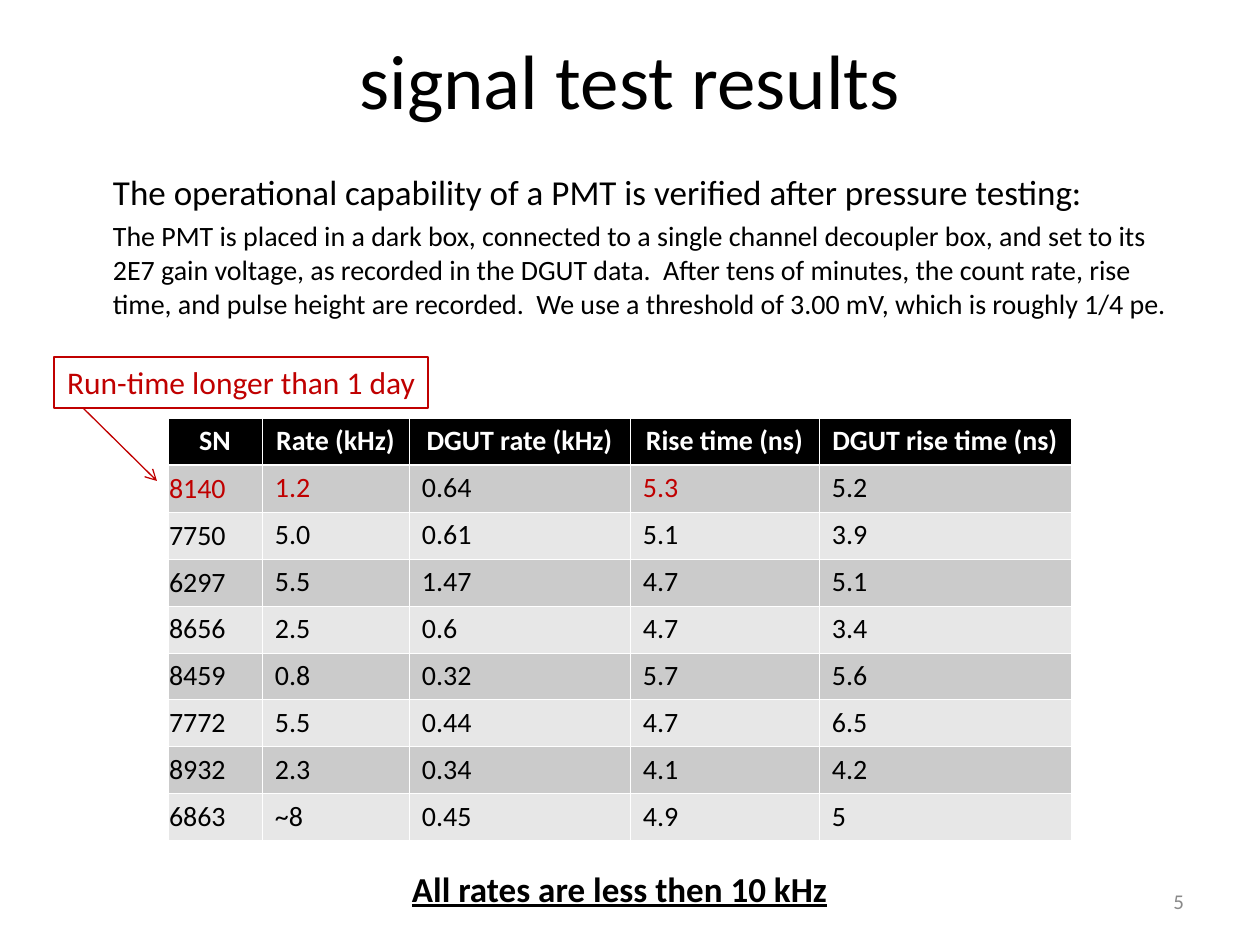
import pptx
import pptx.dml.color
import pptx.enum.shapes
import pptx.enum.text
import pptx.oxml
import pptx.oxml.ns
import pptx.util

SCALE = 914400 / 126  # EMU per px
HUES = {"black": "000000", "white": "FFFFFF", "red": "C00000",
        "gray": "898989", "dark": "CBCBCB", "light": "E7E7E7"}
ALIGN = pptx.enum.text.PP_ALIGN
ANCHOR = pptx.enum.text.MSO_ANCHOR
qn = pptx.oxml.ns.qn

HEAD = ["SN", "Rate (kHz)", "DGUT rate (kHz)", "Rise time (ns)", "DGUT rise time (ns)"]
ROWS = [
    ["8140", "1.2", "0.64", "5.3", "5.2"],
    ["7750", "5.0", "0.61", "5.1", "3.9"],
    ["6297", "5.5", "1.47", "4.7", "5.1"],
    ["8656", "2.5", "0.6", "4.7", "3.4"],
    ["8459", "0.8", "0.32", "5.7", "5.6"],
    ["7772", "5.5", "0.44", "4.7", "6.5"],
    ["8932", "2.3", "0.34", "4.1", "4.2"],
    ["6863", "~8", "0.45", "4.9", "5"],
]
WIDTHS = [94, 147, 221, 189, 252]
ROW_H = 47
LONG_RUN = {(1, 0), (1, 1), (1, 3)}  # cells of the day-long run


def px(n):
    return pptx.util.Emu(round(n * SCALE))


def rgb(hue):
    return pptx.dml.color.RGBColor.from_string(HUES[hue])


def write(para, text, size=16, hue="black", bold=False, line=False,
          align=ALIGN.LEFT, before=0):
    para.alignment = align
    if before:
        para.space_before = pptx.util.Pt(before)
    run = para.add_run()
    run.text = text
    font = run.font
    font.name, font.size = "Calibri", pptx.util.Pt(size)
    font.bold, font.underline = bold, line
    font.color.rgb = rgb(hue)


class Page:
    def __init__(self, deck):
        self.shapes = deck.slides.add_slide(deck.slide_layouts[6]).shapes

    def frame(self, shape, wrap=True, anchor=ANCHOR.TOP, left=13):
        frame = shape.text_frame
        frame.word_wrap = wrap
        frame.vertical_anchor = anchor
        frame.margin_left, frame.margin_right = px(left), px(13)
        frame.margin_top = frame.margin_bottom = px(6)
        return frame

    def text(self, box, lines, wrap=True, anchor=ANCHOR.TOP, left=13):
        shape = self.shapes.add_textbox(*map(px, box))
        frame = self.frame(shape, wrap, anchor, left)
        for i, (words, style) in enumerate(lines):
            para = frame.add_paragraph() if i else frame.paragraphs[0]
            write(para, words, **style)

    def label(self, box, words, **style):
        kind = pptx.enum.shapes.MSO_SHAPE.RECTANGLE
        shape = self.shapes.add_shape(kind, *map(px, box))
        shape.shadow.inherit = False
        shape.fill.background()
        shape.line.color.rgb = rgb(style["hue"])
        shape.line.width = pptx.util.Pt(0.75)
        write(self.frame(shape, wrap=False).paragraphs[0], words, **style)

    def arrow(self, start, end, hue):
        kind = pptx.enum.shapes.MSO_CONNECTOR.STRAIGHT
        link = self.shapes.add_connector(kind, *map(px, start + end))
        link.line.color.rgb = rgb(hue)
        link.line.width = pptx.util.Pt(0.75)
        tip = link.line._get_or_add_ln().makeelement(qn("a:tailEnd"), {"type": "arrow"})
        link.line._get_or_add_ln().append(tip)
        props = link._element.spPr
        props.append(props.makeelement(qn("a:effectLst"), {}))

    def border(self, cell, top, bottom):
        props = cell._tc.get_or_add_tcPr()
        sides = {"L": 0.45, "R": 0.45, "T": top, "B": bottom}
        for i, (side, width) in enumerate(sides.items()):
            props.insert(i, pptx.oxml.parse_xml(
                f'<a:ln{side} xmlns:a="http://schemas.openxmlformats.org/drawingml/2006/main"'
                f' w="{round(width * 12700)}"><a:solidFill>'
                f'<a:srgbClr val="{HUES["white"]}"/></a:solidFill></a:ln{side}>'))

    def table(self, x, y, data):
        grid = self.shapes.add_table(len(data), len(WIDTHS), px(x), px(y),
                                     px(sum(WIDTHS)), px(ROW_H * len(data))).table
        for col, width in zip(grid.columns, WIDTHS):
            col.width = px(width)
        for r, row in enumerate(data):
            grid.rows[r].height = px(ROW_H)
            for c, words in enumerate(row):
                cell = grid.cell(r, c)
                cell.fill.solid()
                cell.fill.fore_color.rgb = rgb(
                    "black" if r == 0 else "dark" if r % 2 else "light")
                self.border(cell, 1.47 if r == 1 else 0.45, 1.47 if r == 0 else 0.45)
                serial = r > 0 and c == 0
                cell.margin_left = cell.margin_right = px(1 if serial else 13)
                cell.margin_top = cell.margin_bottom = px(6)
                cell.vertical_anchor = ANCHOR.MIDDLE if serial else ANCHOR.TOP
                para = cell.text_frame.paragraphs[0]
                if r == 0:
                    write(para, words, hue="white", bold=True, align=ALIGN.CENTER)
                else:
                    write(para, words, hue="red" if (r, c) in LONG_RUN else "black")


def main():
    deck = pptx.Presentation()
    deck.slide_width, deck.slide_height = px(1260), px(945)
    page = Page(deck)

    # Title and page number
    page.text((63, 21, 1134, 116),
              [("signal test results", dict(size=44, align=ALIGN.CENTER))],
              anchor=ANCHOR.MIDDLE)
    page.text((903, 876, 294, 50),
              [("5", dict(size=12, hue="gray", align=ALIGN.RIGHT))],
              anchor=ANCHOR.MIDDLE)

    # Test method
    page.text((53, 164, 1144, 624), [
        ("The operational capability of a PMT is verified after pressure testing:",
         dict(size=20)),
        ("The PMT is placed in a dark box, connected to a single channel decoupler box, "
         "and set to its 2E7 gain voltage, as recorded in the DGUT data.  After tens of "
         "minutes, the count rate, rise time, and pulse height are recorded.  We use a "
         "threshold of 3.00 mV, which is roughly 1/4 pe.", dict(before=4)),
    ], left=60)

    # Results
    page.table(168, 418, [HEAD] + ROWS)

    # Callout to the long run
    page.label((54, 357, 374, 51), "Run-time longer than 1 day", size=18, hue="red")
    page.arrow((83, 408), (157, 481), "red")

    # Conclusion
    page.text((399, 861, 442, 55),
              [("All rates are less then 10 kHz", dict(size=20, bold=True, line=True))],
              wrap=False)

    deck.save("out.pptx")


if __name__ == "__main__":
    main()
